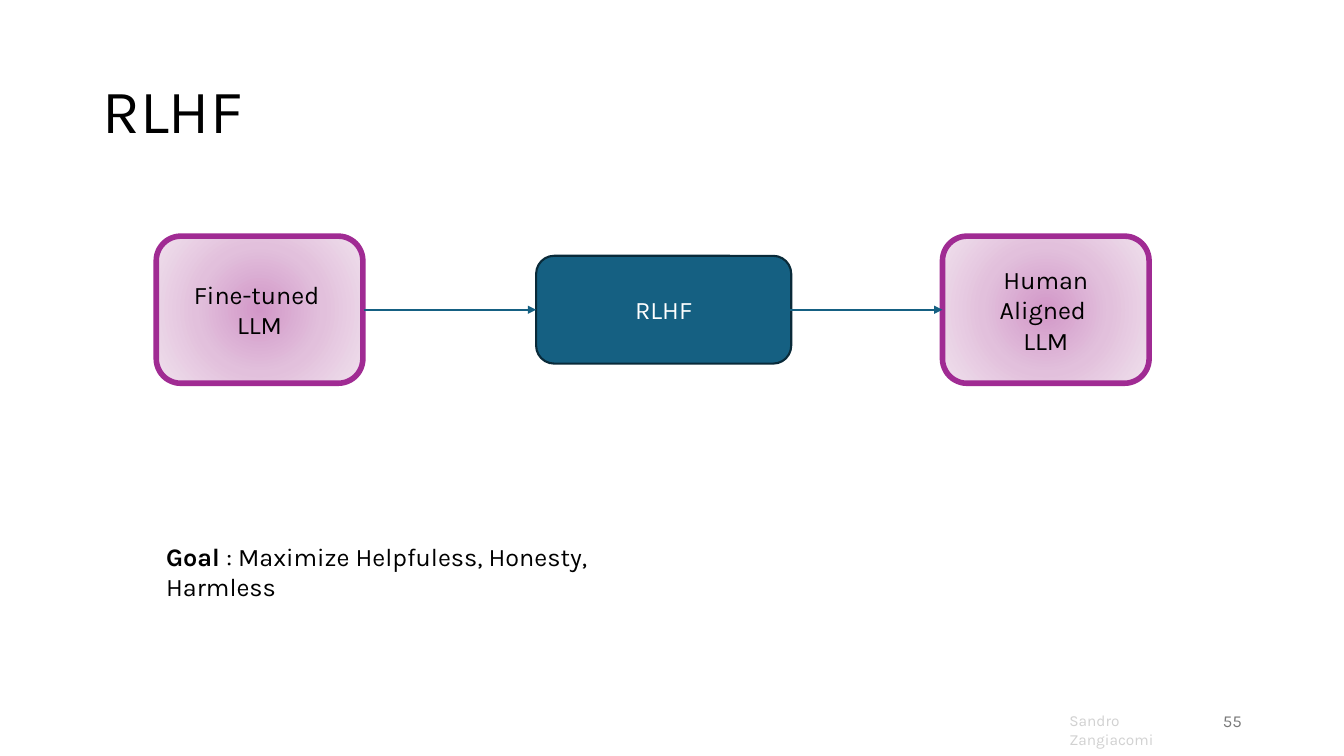
import pptx
import pptx.util
import pptx.dml.color
import pptx.enum.shapes
import pptx.enum.text
import pptx.oxml
import pptx.oxml.ns
from dataclasses import dataclass

Pt = pptx.util.Pt
RGB = pptx.dml.color.RGBColor.from_string
SHAPE = pptx.enum.shapes.MSO_SHAPE.ROUNDED_RECTANGLE
ALIGN = pptx.enum.text.PP_ALIGN
ANCHOR = pptx.enum.text.MSO_ANCHOR
NS = pptx.oxml.ns.nsdecls("a")


@dataclass(frozen=True)
class Theme:
    face: str = "Karla"
    ink: str = "000000"
    white: str = "FFFFFF"
    blue: str = "156082"
    navy: str = "092A39"
    plum: str = "A02B93"
    pale: str = "D1D1D1"
    gray: str = "797979"
    glow: tuple = ((0, "D297C8"), (50, "E2C0DC"), (100, "F0E1ED"))
    head: int = 44
    body: int = 18
    page: int = 12
    foot: int = 11


THEME = Theme()


def put(item, values):
    for name, value in values.items():
        setattr(item, name, value)


def write(shape, parts, size, color, align=ALIGN.LEFT, anchor=ANCHOR.TOP):
    """Fill one paragraph with (text, bold) parts; a vertical tab breaks the line."""
    frame = shape.text_frame
    put(frame, {"word_wrap": True, "vertical_anchor": anchor,
                "auto_size": pptx.enum.text.MSO_AUTO_SIZE.NONE})
    para = frame.paragraphs[0]
    para.alignment = align
    for text, bold in parts:
        for index, line in enumerate(text.split("\v")):
            if index:
                para.add_line_break()
            run = para.add_run()
            run.text = line
            put(run.font, {"name": THEME.face, "size": Pt(size), "bold": bold})
            run.font.color.rgb = RGB(color)
    return para


def label(slide, box, parts, size, color, **place):
    shape = slide.shapes.add_textbox(*map(Pt, box))
    write(shape, parts, size, color, **place)


def title(slide, box, text):
    shape = slide.shapes.title
    put(shape, dict(zip(("left", "top", "width", "height"), map(Pt, box))))
    para = write(shape, [(text, False)], THEME.head, THEME.ink,
                 anchor=ANCHOR.MIDDLE)
    para.line_spacing = 0.9


def glow(shape):
    """Give the shape a radial gradient from its centre."""
    stops = "".join(
        f'<a:gs pos="{pos * 1000}"><a:srgbClr val="{color}"/></a:gs>'
        for pos, color in THEME.glow)
    fill = pptx.oxml.parse_xml(
        f'<a:gradFill {NS} rotWithShape="1"><a:gsLst>{stops}</a:gsLst>'
        '<a:path path="circle"><a:fillToRect l="50000" t="50000" '
        'r="50000" b="50000"/></a:path></a:gradFill>')
    shape.fill.background()
    blank = shape.element.spPr.find(pptx.oxml.ns.qn("a:noFill"))
    blank.getparent().replace(blank, fill)


def node(slide, box, text, ink, edge, width, fill=None):
    """Draw a rounded box, glowing unless a fill is given."""
    shape = slide.shapes.add_shape(SHAPE, *map(Pt, box))
    shape.shadow.inherit = False
    if fill:
        shape.fill.solid()
        shape.fill.fore_color.rgb = RGB(fill)
    else:
        glow(shape)
    shape.line.color.rgb = RGB(edge)
    shape.line.width = Pt(width)
    write(shape, [(text, False)], THEME.body, ink, ALIGN.CENTER, ANCHOR.MIDDLE)


def arrow(slide, start, end, y):
    kind = pptx.enum.shapes.MSO_CONNECTOR.STRAIGHT
    link = slide.shapes.add_connector(kind, *map(Pt, (start, y, end, y)))
    link.line.color.rgb = RGB(THEME.blue)
    link.line.width = Pt(1.5)
    link.line._get_or_add_ln().append(
        pptx.oxml.parse_xml(f'<a:tailEnd {NS} type="triangle"/>'))
    link.element.spPr.append(pptx.oxml.parse_xml(f"<a:effectLst {NS}/>"))


def flow(slide, box):
    """Place model, training step and aligned model across the box."""
    left, top, width, height = box
    side, step, high, reach = 147.6, 182.2, 77, 123
    mid, last = left + 271.4, left + width - side
    axis = top + height / 2
    for x, text in ((left, "Fine-tuned \vLLM"), (last, "Human Aligned \vLLM")):
        node(slide, (x, top, side, height), text, THEME.ink, THEME.plum, 4)
    node(slide, (mid, axis - high / 2, step, high), "RLHF",
         THEME.white, THEME.navy, 1.5, THEME.blue)
    for end in (mid, last):
        arrow(slide, end - reach, end, axis)


def footer(slide, box):
    left, top, width, height = box
    label(slide, (left, top + 4.3, 107.3, 20.9),
          [("Sandro Zangiacomi", False)], THEME.foot, THEME.pale)
    label(slide, (left + width - 216, top, 216, height), [("55", False)],
          THEME.page, THEME.gray, align=ALIGN.RIGHT, anchor=ANCHOR.MIDDLE)


def main():
    deck = pptx.Presentation()
    put(deck, {"slide_width": Pt(960), "slide_height": Pt(540)})
    slide = deck.slides.add_slide(deck.slide_layouts[5])
    title(slide, (66, 28.8, 462.2, 104.4), "RLHF")
    flow(slide, (111.6, 168.7, 709.2, 105.1))
    label(slide, (111.6, 383, 385.2, 29),
          [("Goal ", True), (": Maximize Helpfuless, Honesty, Harmless", False)],
          THEME.body, THEME.ink)
    footer(slide, (756.7, 500.4, 137.5, 28.8))
    deck.save("out.pptx")


if __name__ == "__main__":
    main()
